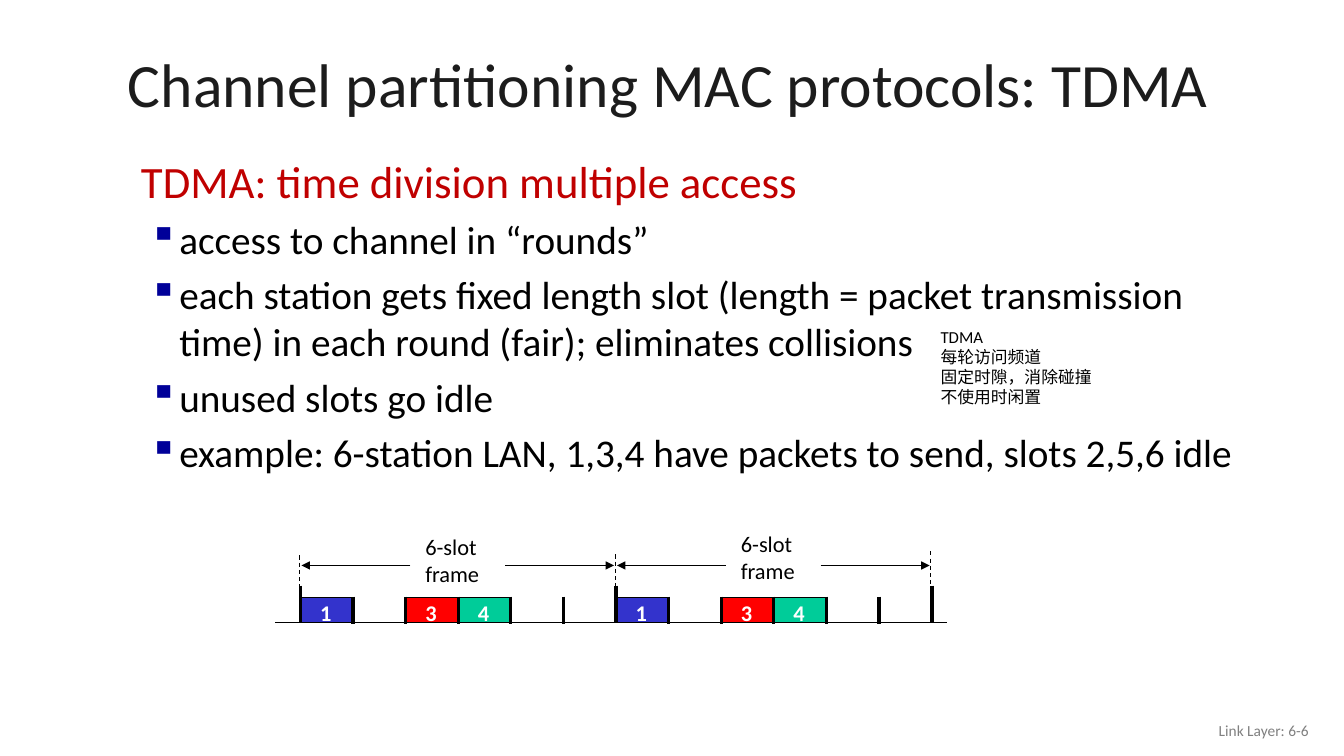
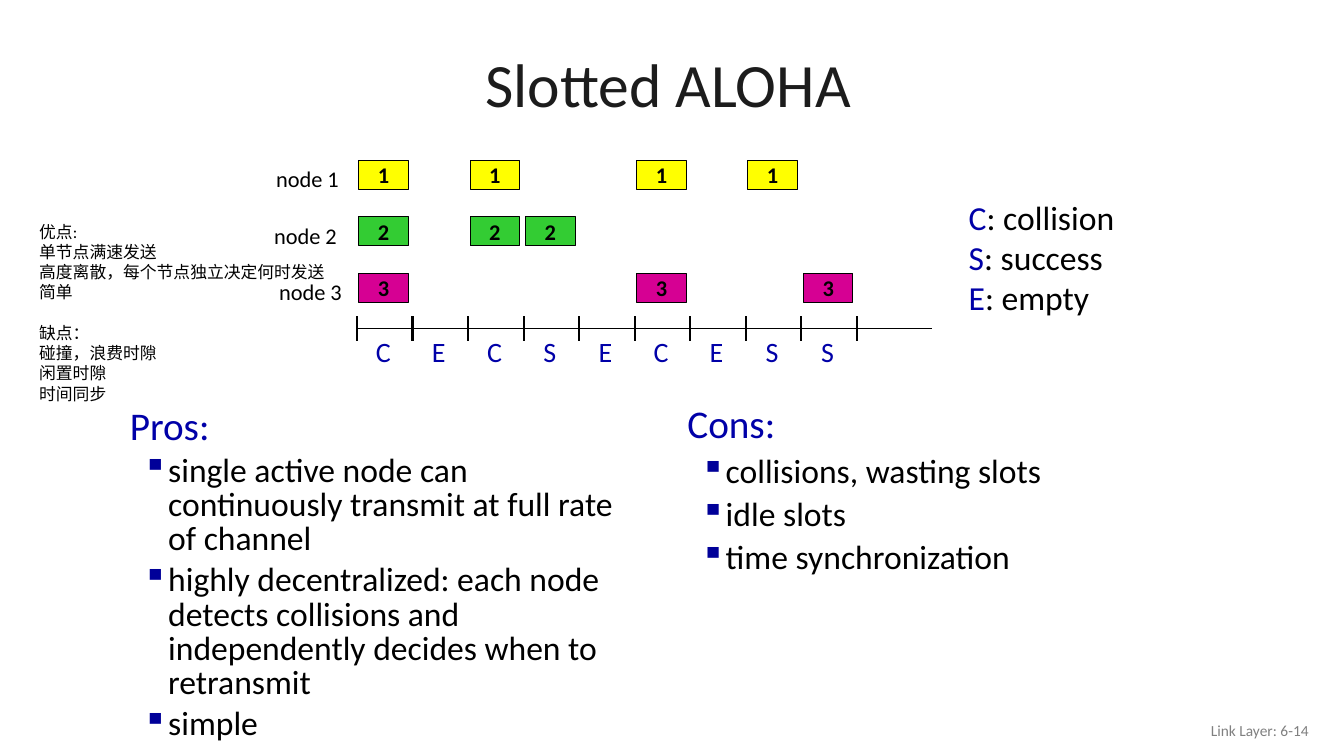
"""Build two lecture slides on TDMA and slotted ALOHA."""
import lxml.etree
import pptx
import pptx.dml.color
import pptx.enum.dml
import pptx.enum.shapes
import pptx.enum.text
import pptx.oxml.ns
import pptx.util

Inches = pptx.util.Inches
Pt = pptx.util.Pt
qn = pptx.oxml.ns.qn
ALIGN = pptx.enum.text.PP_ALIGN
ANCHOR = pptx.enum.text.MSO_ANCHOR

FONT = "Calibri"
BLACK, WHITE = "000000", "FFFFFF"
TITLE_INK, FOOTER_GREY = "1C1C1C", "808080"
NAVY, BULLET_NAVY, DARK_RED = "0000A8", "000099", "C00000"
BLUE, RED, TEAL = "3333CC", "FF0000", "00CC99"
YELLOW, GREEN, MAGENTA = "FFFF00", "33CC33", "D60093"


def colour(value):
    """Turn a hex string into a colour."""
    return pptx.dml.color.RGBColor.from_string(value)


def add_runs(paragraph, runs, size, bold=False):
    """Add (text, colour) runs to a paragraph."""
    for text, ink in runs:
        run = paragraph.add_run()
        run.text = text
        run.font.name = FONT
        run.font.size = Pt(size)
        run.font.bold = bold
        run.font.color.rgb = colour(ink)


def next_paragraph(frame, index):
    """Return the first paragraph of a frame, or a new one after it."""
    return frame.add_paragraph() if index else frame.paragraphs[0]


def add_text(slide, box, lines, size, align=ALIGN.LEFT, anchor=ANCHOR.TOP, wrap=False):
    """Add a text box whose lines are lists of (text, colour) runs."""
    frame = slide.shapes.add_textbox(*map(Inches, box)).text_frame
    frame.word_wrap = wrap
    frame.vertical_anchor = anchor
    for index, runs in enumerate(lines):
        paragraph = next_paragraph(frame, index)
        paragraph.alignment = align
        add_runs(paragraph, runs, size)
    return frame


def black_lines(*texts):
    """Make one black run per line."""
    return [[(text, BLACK)] for text in texts]


def indent(paragraph, hanging, bulleted):
    """Give a paragraph a hanging indent and, if wanted, a square bullet."""
    props = paragraph._p.get_or_add_pPr()
    props.set("marL", str(Inches(0.38)))
    props.set("indent", str(-Inches(hanging)))
    if bulleted:
        bullet_colour = lxml.etree.SubElement(props, qn("a:buClr"))
        lxml.etree.SubElement(bullet_colour, qn("a:srgbClr")).set("val", BULLET_NAVY)
        lxml.etree.SubElement(props, qn("a:buChar")).set("char", "▪")


def add_bullets(slide, box, heading, ink, items, sizes, hanging, spacings, item_gap):
    """Add a coloured heading with a bulleted list under it."""
    heading_size, item_size = sizes
    heading_spacing, item_spacing = spacings
    frame = add_text(slide, box, [[(heading, ink)]], heading_size, wrap=True)
    frame.paragraphs[0].line_spacing = heading_spacing
    frame.paragraphs[0].space_before = Pt(0.2 * heading_size)
    indent(frame.paragraphs[0], 0.38, False)
    for item in items:
        paragraph = frame.add_paragraph()
        paragraph.line_spacing = item_spacing
        paragraph.space_before = Pt(item_gap)
        indent(paragraph, hanging, True)
        add_runs(paragraph, [(item, BLACK)], item_size)


def add_packet(slide, box, number, fill, ink, drop=0):
    """Add a numbered packet, its number lowered by the given inset."""
    packet = slide.shapes.add_shape(
        pptx.enum.shapes.MSO_SHAPE.RECTANGLE, *map(Inches, box))
    packet.shadow.inherit = False
    packet.fill.solid()
    packet.fill.fore_color.rgb = colour(fill)
    packet.line.color.rgb = colour(BLACK)
    packet.line.width = Pt(0.75)
    frame = packet.text_frame
    frame.margin_left = frame.margin_right = frame.margin_bottom = 0
    frame.margin_top = Inches(drop)
    frame.word_wrap = False
    frame.vertical_anchor = ANCHOR.MIDDLE
    frame.paragraphs[0].alignment = ALIGN.CENTER
    add_runs(frame.paragraphs[0], [(number, ink)], 16, bold=True)


def add_line(slide, start, end, width=0.75, dashed=False, arrow=False):
    """Add a black line, dashed or with an arrowhead at its end."""
    line = slide.shapes.add_connector(
        pptx.enum.shapes.MSO_CONNECTOR.STRAIGHT, *map(Inches, (*start, *end)))
    line.line.color.rgb = colour(BLACK)
    line.line.width = Pt(width)
    if dashed:
        line.line.dash_style = pptx.enum.dml.MSO_LINE.DASH
    props = line._element.spPr
    if arrow:
        lxml.etree.SubElement(props.find(qn("a:ln")), qn("a:tailEnd")).set("type", "triangle")
    lxml.etree.SubElement(props, qn("a:effectLst"))


def add_slide(deck, title, number):
    """Add a blank slide with the shared title and footer."""
    slide = deck.slides.add_slide(deck.slide_layouts[6])
    heading = add_text(slide, (0.88, 0.38, 11.5, 0.98), [[(title, TITLE_INK)]], 44,
                       ALIGN.CENTER, ANCHOR.MIDDLE, wrap=True)
    heading.paragraphs[0].line_spacing = 0.9
    add_text(slide, (10.08, 7.05, 3, 0.4), [[(f"Link Layer: 6-{number}", FOOTER_GREY)]],
             11, ALIGN.RIGHT, ANCHOR.MIDDLE, wrap=True)
    return slide


def add_tdma_frames(slide):
    """Draw two six-slot frames on a time axis."""
    first, frame_width, slots, axis = 2.97, 3.13, 6, 6.18
    slot = frame_width / slots
    add_line(slide, (2.73, axis), (9.39, axis))
    for frame in range(2):
        left = first + frame * frame_width
        for position, number, fill in ((0, "1", BLUE), (2, "3", RED), (3, "4", TEAL)):
            add_packet(slide, (left + position * slot, 5.93, slot, 0.25),
                       number, fill, WHITE, drop=0.04)
        add_text(slide, (left + 1.15, 5.24 - 0.03 * frame, 0.77, 0.64),
                 black_lines("6-slot", "frame"), 16)
        for tail, head in ((1.1, 0.02), (2.04, 3.12)):
            add_line(slide, (left + tail, 5.61), (left + head, 5.61), arrow=True)
    for tick in range(2 * slots + 1):
        x = first + 0.01 + tick * slot
        if tick % slots:
            add_line(slide, (x, 5.92), (x, 6.19), 2.25)
        else:
            add_line(slide, (x, 5.81), (x, axis), 3 if tick else 2.25)
    for boundary, top in enumerate((5.51, 5.5, 5.47)):
        x = first + boundary * frame_width
        add_line(slide, (x, top), (x, top + 0.33), dashed=True)


def build_tdma(deck):
    """Build the TDMA slide."""
    slide = add_slide(deck, "Channel partitioning MAC protocols: TDMA", 6)
    add_bullets(
        slide, (1.3, 1.6, 11.19, 3.2), "TDMA: time division multiple access", DARK_RED,
        ["access to channel in “rounds”",
         "each station gets fixed length slot (length = packet transmission time) "
         "in each round (fair); eliminates collisions",
         "unused slots go idle",
         "example: 6-station LAN, 1,3,4 have packets to send, slots 2,5,6 idle"],
        (32, 28), 0.3, (0.75, 1.0), 6)
    add_tdma_frames(slide)
    add_text(slide, (9.23, 3.19, 1.92, 0.91),
             black_lines("TDMA", "每轮访问频道", "固定时隙，消除碰撞", "不使用时闲置"),
             12, wrap=True)


def add_aloha_timeline(slide):
    """Draw the packets of three nodes above a slotted time axis."""
    left, right, axis, outcomes = 3.54, 8.5, 3.26, "CECSECESS"
    slot = (right - left) / len(outcomes)
    nodes = ((YELLOW, (0, 2, 5, 7), 2.64),
             (GREEN, (0, 2, 3), 2.62),
             (MAGENTA, (0, 5, 8), 2.67))
    for row, (fill, sent, label_left) in enumerate(nodes):
        top = 1.59 + row * 0.56
        for position in sent:
            add_packet(slide, (left + 0.02 + position * slot, top, 0.49, 0.29),
                       str(row + 1), fill, BLACK)
        add_text(slide, (label_left, top, 0.83, 0.37), black_lines(f"node {row + 1}"), 16)
    add_line(slide, (left, axis), (9.24, axis))
    for tick in range(len(outcomes) + 1):
        x = left + tick * slot
        add_line(slide, (x, 3.14), (x, 3.38), 1.5)
    for position, outcome in enumerate(outcomes):
        add_text(slide, (left + 0.09 + position * slot, 3.27, 0.34, 0.44),
                 [[(outcome, NAVY)]], 20, ALIGN.CENTER)


def build_aloha(deck):
    """Build the slotted ALOHA slide."""
    slide = add_slide(deck, "Slotted ALOHA", 14)
    pros = ["single active node can continuously transmit at full rate of channel",
            "highly decentralized: each node detects collisions and independently "
            "decides when to retransmit",
            "simple"]
    cons = ["collisions, wasting slots", "idle slots", "time synchronization"]
    for box, heading, items, spacing in (
            ((1.19, 4, 5.3, 3.5), "Pros:", pros, 0.85),
            ((6.72, 3.97, 6.1, 3), "Cons:", cons, 0.9)):
        add_bullets(slide, box, heading, NAVY, items, (28, 24), 0.25,
                    (spacing, spacing), 4.8)
    add_aloha_timeline(slide)
    legend = (("C", "collision"), ("S", "success"), ("E", "empty"))
    add_text(slide, (9.51, 1.9, 1.66, 1.31),
             [[(letter, NAVY), (f": {meaning}", BLACK)] for letter, meaning in legend], 24)
    advantages = ("优点:", "单节点满速发送", "高度离散，每个节点独立决定何时发送", "简单")
    drawbacks = ("缺点：", "碰撞，浪费时隙", "闲置时隙", "时间同步")
    summary = add_text(slide, (0.29, 2.15, 3.18, 1.92),
                       black_lines(*advantages, *drawbacks), 12, wrap=True)
    summary.paragraphs[len(advantages)].space_before = Pt(14.6)


def main():
    """Build and save the deck."""
    deck = pptx.Presentation()
    deck.slide_width, deck.slide_height = Inches(13.33), Inches(7.5)
    build_tdma(deck)
    build_aloha(deck)
    deck.save("out.pptx")


if __name__ == "__main__":
    main()
